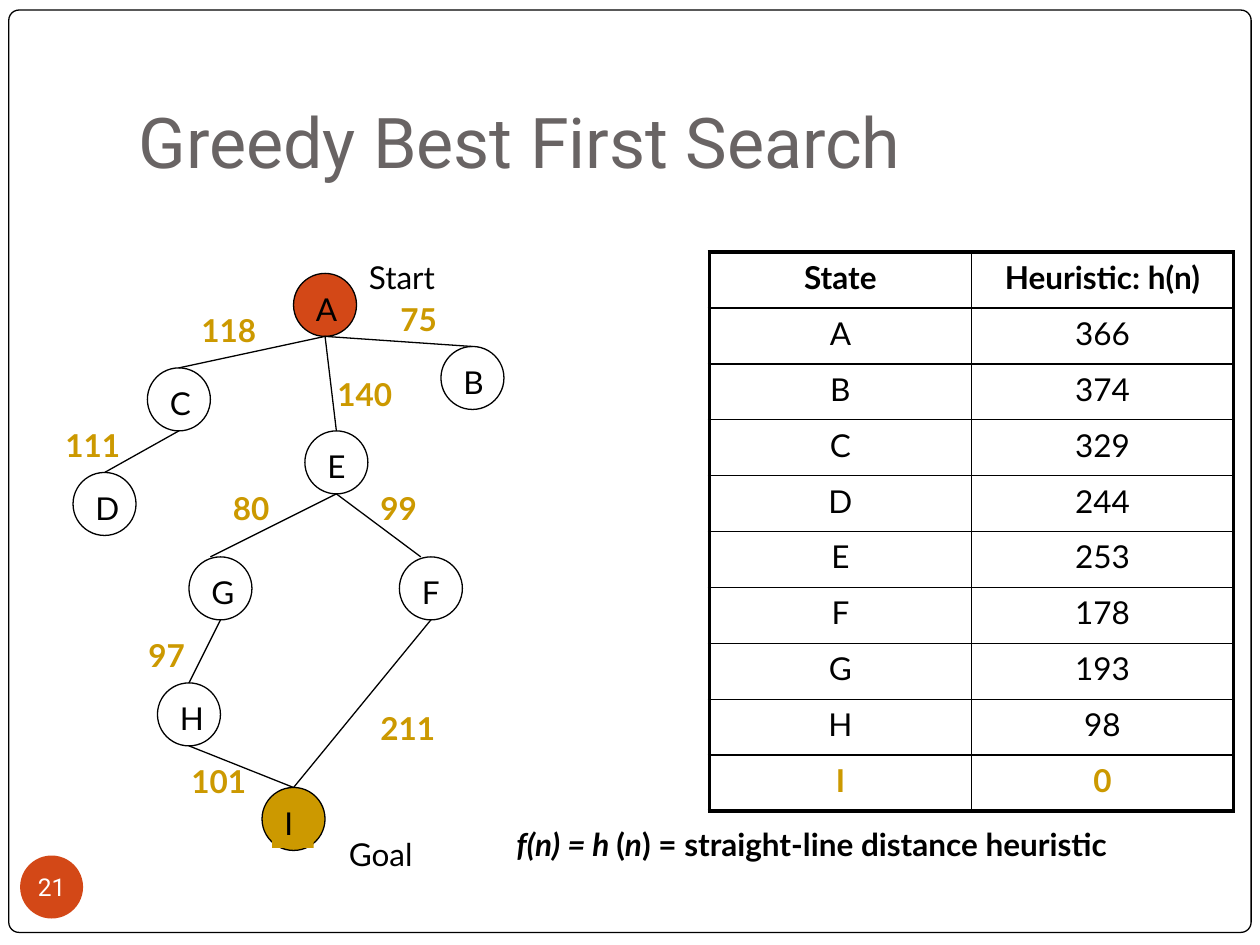
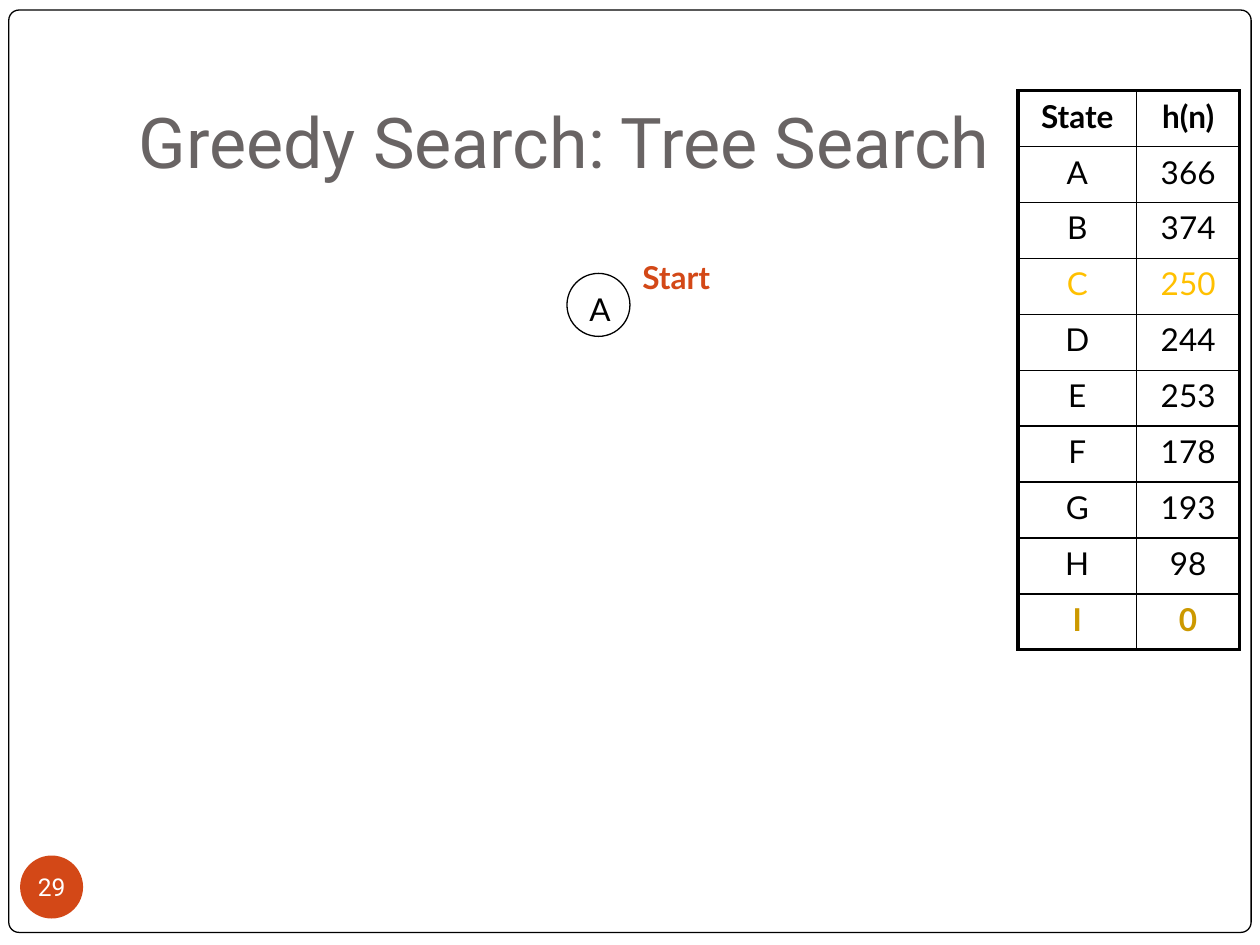
from lxml import etree
from pptx import Presentation
from pptx.dml.color import RGBColor
from pptx.enum.shapes import MSO_CONNECTOR, MSO_SHAPE
from pptx.enum.text import MSO_ANCHOR, MSO_AUTO_SIZE, PP_ALIGN
from pptx.oxml import parse_xml
from pptx.oxml.ns import nsdecls, qn
from pptx.util import Inches, Pt

LEFT, CENTER = PP_ALIGN.LEFT, PP_ALIGN.CENTER
MIDDLE, BOTTOM = MSO_ANCHOR.MIDDLE, MSO_ANCHOR.BOTTOM
OVAL, ROUND = MSO_SHAPE.OVAL, MSO_SHAPE.ROUNDED_RECTANGLE
LINE = MSO_CONNECTOR.STRAIGHT
FIXED = MSO_AUTO_SIZE.NONE

BLACK = RGBColor(0x00, 0x00, 0x00)
WHITE = RGBColor(0xFF, 0xFF, 0xFF)
GRAY = RGBColor(0x69, 0x64, 0x64)
ORANGE = RGBColor(0xD3, 0x48, 0x17)
GOLD = RGBColor(0xCC, 0x99, 0x00)
AMBER = RGBColor(0xFF, 0xC0, 0x00)
HEAD, BODY = "Roboto", "Lato"
DOT = 0.5  # diameter of a node


def style(par, size=18, font=BODY, color=BLACK, bold=False, align=LEFT):
    par.alignment = align
    for run in par.runs:
        run.font.size, run.font.name = Pt(size), font
        run.font.color.rgb, run.font.bold = color, bold


def label(slide, text, x, y, width, color=BLACK, bold=False):
    box = slide.shapes.add_textbox(Inches(x), Inches(y), Inches(width), Inches(0.4))
    box.text_frame.word_wrap = True
    box.text_frame.text = text
    style(box.text_frame.paragraphs[0], color=color, bold=bold)
    return box


prs = Presentation()
prs.slide_width, prs.slide_height = Inches(10), Inches(7.5)

# Title, page number, then the table: heading, place, column widths, h(C), colour of C
pages = [
    ("Greedy Best First Search", "21", "Heuristic: h(n)", 5.63, 2, (2.08, 2.08), "329", BLACK),
    ("Greedy Search: Tree Search", "29", "h(n)", 8.08, 0.72, (0.94, 0.82), "250", AMBER),
]
slides = []
for name, page, heading, left, top, widths, cost, tint in pages:
    slide = prs.slides.add_slide(prs.slide_layouts[5])
    slides.append(slide)

    # Title
    title = slide.shapes.title
    title.left, title.top = Inches(1), Inches(0.3)
    title.width, title.height = Inches(8.5), Inches(1.25)
    frame = title.text_frame
    frame.text = name
    frame.auto_size, frame.vertical_anchor = FIXED, BOTTOM
    frame.margin_bottom = Inches(0.1)
    style(frame.paragraphs[0], 40, HEAD, GRAY)

    # Border behind the title
    border = slide.shapes.add_shape(ROUND, Inches(0.07), Inches(0.08), Inches(9.86), Inches(7.32))
    border.adjustments[0] = 0.011
    border.shadow.inherit = False
    border.fill.solid()
    border.fill.fore_color.rgb = WHITE
    border.line.color.rgb, border.line.width = BLACK, Pt(0.75)
    title.element.addprevious(border.element)

    # Page number
    badge = slide.shapes.add_shape(OVAL, Inches(0.16), Inches(6.79), Inches(DOT), Inches(DOT))
    badge.shadow.inherit = False
    badge.fill.solid()
    badge.fill.fore_color.rgb = ORANGE
    badge.line.fill.background()
    frame = badge.text_frame
    frame.margin_left = frame.margin_right = frame.margin_top = frame.margin_bottom = 0
    frame.vertical_anchor = MIDDLE
    frame.text = page
    style(frame.paragraphs[0], 14, HEAD, WHITE, align=CENTER)

    # Heuristic table
    costs = ["366", "374", cost, "244", "253", "178", "193", "98", "0"]
    rows = [("State", heading), *zip("ABCDEFGHI", costs)]
    last = len(rows) - 1
    table = slide.shapes.add_table(len(rows), 2, Inches(left), Inches(top),
                                   Inches(sum(widths)), Inches(4.44)).table
    table.first_row = table.horz_banding = False
    for col, width in zip(table.columns, widths):
        col.width = Inches(width)
    for r, row in enumerate(rows):
        color = {"C": tint, "I": GOLD}.get(row[0], BLACK)
        for c, text in enumerate(row):
            cell = table.cell(r, c)
            outer = {"L": c == 0, "R": c == 1, "T": r == 0, "B": r == last}
            for side, thick in outer.items():
                cell._tc.get_or_add_tcPr().append(parse_xml(
                    f'<a:ln{side} {nsdecls("a")} w="{Pt(2.25 if thick else 1)}"><a:solidFill>'
                    f'<a:srgbClr val="{BLACK}"/></a:solidFill></a:ln{side}>'))
            cell.fill.solid()
            cell.fill.fore_color.rgb = WHITE
            cell.text_frame.text = text
            style(cell.text_frame.paragraphs[0], color=color, bold=r in (0, last), align=CENTER)

graph, tree = slides

# Nodes
nodes = [
    (graph, "A", 2.33, 2.17, ORANGE), (graph, "B", 3.5, 2.75, None),
    (graph, "C", 1.17, 2.92, None), (graph, "D", 0.58, 3.75, None),
    (graph, "E", 2.42, 3.42, None), (graph, "F", 3.17, 4.42, None),
    (graph, "G", 1.5, 4.42, None), (graph, "H", 1.25, 5.42, None),
    (graph, "I", 2.08, 6.25, GOLD), (tree, "A", 4.5, 2.17, None),
]
spots = {}
for slide, name, x, y, fill in nodes:
    node = slide.shapes.add_shape(OVAL, Inches(x), Inches(y), Inches(DOT), Inches(DOT))
    node.shadow.inherit = False
    node.fill.background()
    if fill:
        node.fill.solid()
        node.fill.fore_color.rgb = fill
    node.line.color.rgb, node.line.width = BLACK, Pt(0.75)
    text = label(slide, name, x + 0.08, y + 0.08, 0.33)
    if name == "I":
        text.fill.solid()
        text.fill.fore_color.rgb = GOLD
    if slide is graph:
        spots[name] = node, x, y

# Edges run from the foot of one node to the top of the next, some a little to its left
edges = [("AB", 0), ("AC", 0), ("AE", 0), ("CD", 0), ("EF", 0.08),
         ("EG", 0.08), ("GH", 0), ("HI", 0), ("FI", 0)]
for (start, end), shift in edges:
    _, x1, y1 = spots[start]
    goal, x2, y2 = spots[end]
    edge = graph.shapes.add_connector(LINE, Inches(x1 + DOT / 2), Inches(y1 + DOT),
                                      Inches(x2 + DOT / 2 - shift), Inches(y2))
    if not shift:
        edge.end_connect(goal, 0)
    edge.line.color.rgb, edge.line.width = BLACK, Pt(0.75)
    etree.SubElement(edge.element.spPr, qn("a:effectLst"))

# Edge costs
for text, x, y in [("118", 1.5, 2.42), ("75", 3.08, 2.33), ("140", 2.58, 2.93),
                   ("111", 0.42, 3.33), ("80", 1.75, 3.83), ("99", 2.92, 3.83),
                   ("97", 1.08, 5), ("211", 2.92, 5.58), ("101", 1.42, 6)]:
    label(graph, text, x, y, 0.83, GOLD, True)

# Start and goal
label(graph, "Start", 2.83, 2, 1.33)
label(graph, "Goal", 2.67, 6.58, 1.33)
label(tree, "Start", 5, 2, 1.33, ORANGE, True)

# Formula with italic variables
par = label(graph, "", 4, 6.5, 6).text_frame.paragraphs[0]
for text, slant in [("f(n) = h ", True), ("(", False), ("n", True),
                    (") = straight-line distance heuristic", False)]:
    run = par.add_run()
    run.text, run.font.italic = text, slant
style(par, bold=True)

prs.save("out.pptx")
